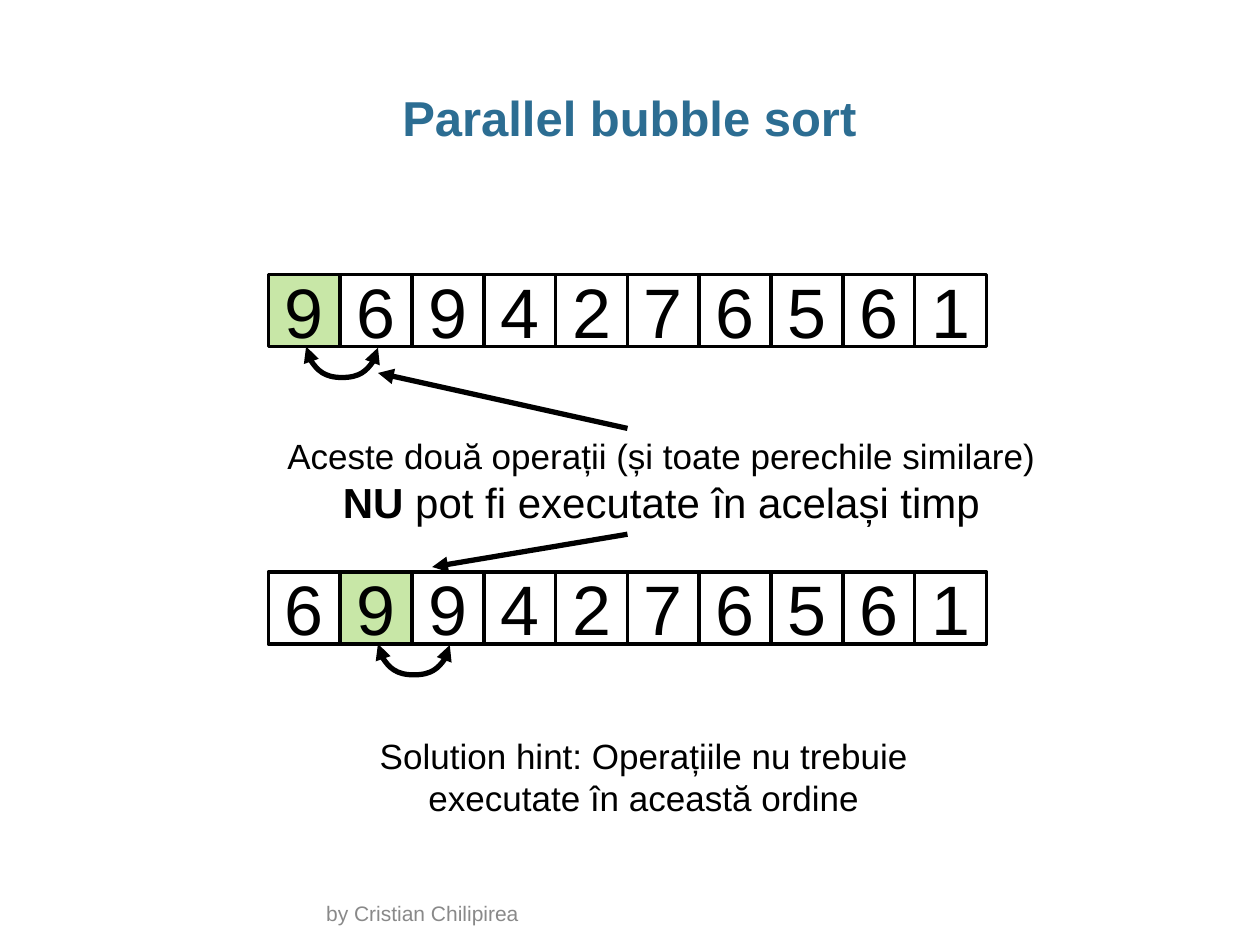
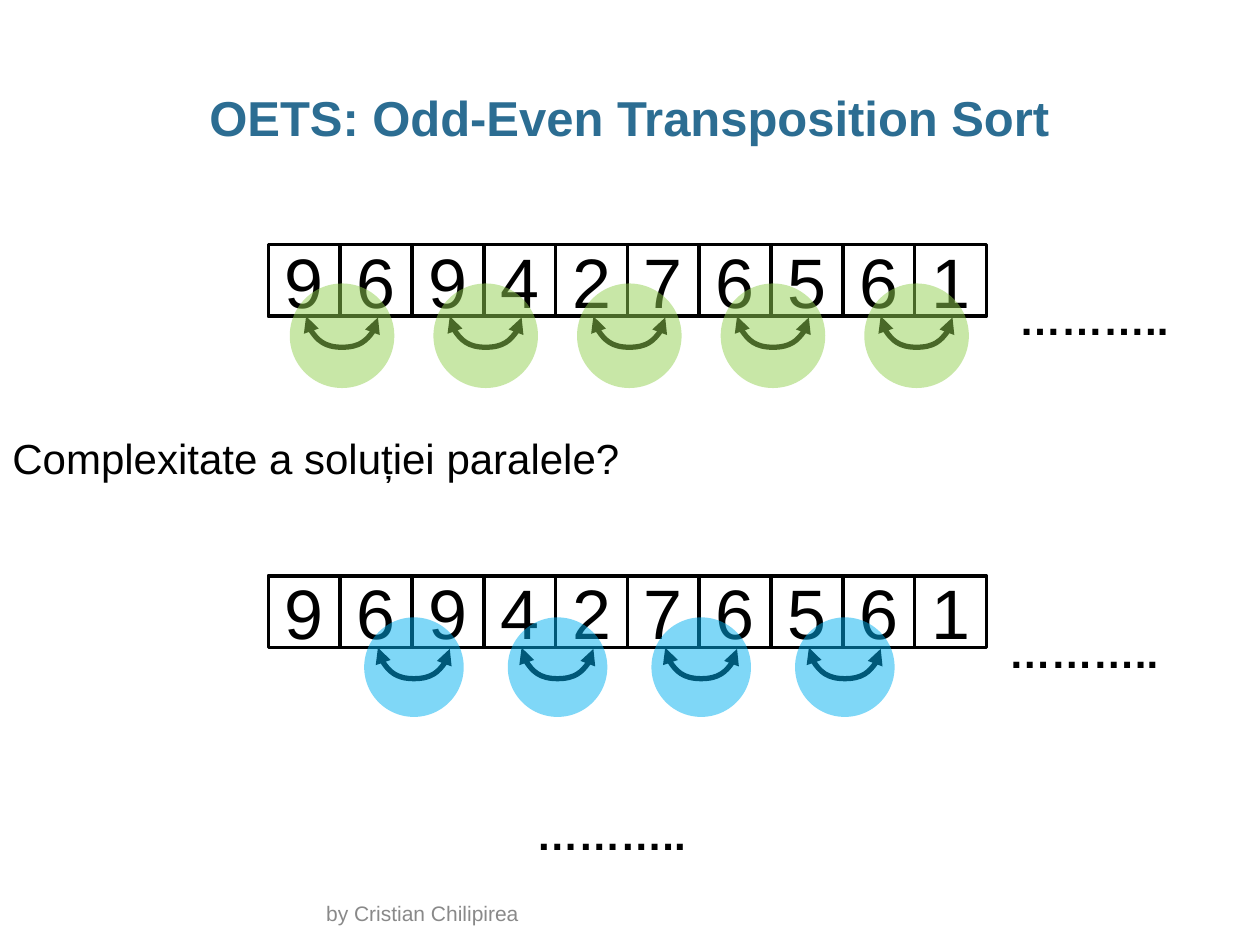
from pptx import Presentation
from pptx.dml.color import RGBColor
from pptx.enum.shapes import MSO_CONNECTOR, MSO_SHAPE
from pptx.enum.text import MSO_ANCHOR, MSO_AUTO_SIZE, PP_ALIGN
from pptx.oxml.ns import qn
from pptx.util import Pt
from lxml.etree import SubElement

PX = 9144  # EMU; 100 px to the inch
FONT = "Arial"
BLACK = RGBColor(0x00, 0x00, 0x00)
GREY = RGBColor(0x89, 0x89, 0x89)
TITLE_BLUE = RGBColor(0x2C, 0x6D, 0x92)
GREEN = RGBColor(0x92, 0xD0, 0x50)
SKY = RGBColor(0x00, 0xB0, 0xF0)

FOOTER = "by Cristian Chilipirea"
CELL, ROW_LEFT = 57, 213
SWAP_DEPTH = 25
DOTS = [("………..", 24, True)]

# Texts: box, runs (text, size, bold), alignment
# Rows: top, digits, highlighted cell, first cells of the swapped pairs,
#       colour and diameter of the circles over the swaps
SLIDES = [
    {
        "title": "Parallel bubble sort",
        "rows": [
            (218, "9694276561", 0, [0], None, 0),
            (454, "6994276561", 1, [1], None, 0),
        ],
        "pointers": [(498, 340, 300, 296), (498, 424, 343, 450)],
        "texts": [
            ((242, 578, 538, 77),
             [("Solution hint: Operațiile nu trebuie executate în această ordine", 20, False)],
             PP_ALIGN.CENTER),
            ((204, 340, 642, 84),
             [("Aceste două operații (și toate perechile similare) ", 20, False),
              ("NU ", 24, True),
              ("pot fi executate în același timp", 24, False)],
             PP_ALIGN.CENTER),
        ],
    },
    {
        "title": "OETS: Odd-Even Transposition Sort",
        "rows": [
            (194, "9694276561", None, range(0, 10, 2), GREEN, 83),
            (457, "9694276561", None, range(1, 9, 2), SKY, 79),
        ],
        "pointers": [],
        "texts": [
            ((799, 228, 140, 50), DOTS, PP_ALIGN.LEFT),
            ((791, 492, 140, 50), DOTS, PP_ALIGN.LEFT),
            ((416, 637, 140, 50), DOTS, PP_ALIGN.LEFT),
            ((0, 338, 507, 91), [("Complexitate a soluției paralele?", 24, False)],
             PP_ALIGN.LEFT),
        ],
    },
]


def emu(*lengths):
    return [length * PX for length in lengths]


def style_run(r, size, color=BLACK, bold=False):
    r.font.name = FONT
    r.font.size = Pt(size)
    r.font.bold = bold
    r.font.color.rgb = color


def add_text(slide, box, runs, align=PP_ALIGN.LEFT, color=BLACK, anchor=MSO_ANCHOR.TOP):
    tf = slide.shapes.add_textbox(*emu(*box)).text_frame
    tf.word_wrap = True
    tf.vertical_anchor = anchor
    p = tf.paragraphs[0]
    p.alignment = align
    for text, size, bold in runs:
        r = p.add_run()
        r.text = text
        style_run(r, size, color, bold)


def add_title(slide, text):
    sp = slide.shapes.title
    sp.left, sp.top, sp.width, sp.height = emu(34, 68, 931, 50)
    tf = sp.text_frame
    tf.text = text
    tf.auto_size = MSO_AUTO_SIZE.NONE
    tf.vertical_anchor = MSO_ANCHOR.TOP
    tf.margin_left = tf.margin_right = 0
    tf.margin_top, tf.margin_bottom = emu(5, 5)
    p = tf.paragraphs[0]
    p.alignment = PP_ALIGN.CENTER
    p.line_spacing = 0.95
    style_run(p.runs[0], 28, TITLE_BLUE, True)


def fill_half(sp, color):
    """Fill a shape with a half-transparent colour."""
    sp.fill.solid()
    sp.fill.fore_color.rgb = color
    clr = sp._element.spPr.find(qn("a:solidFill")).find(qn("a:srgbClr"))
    SubElement(clr, qn("a:alpha"), val="50000")


def add_cell(slide, x, y, digit, highlighted):
    sp = slide.shapes.add_shape(MSO_SHAPE.RECTANGLE, *emu(x, y, CELL, CELL))
    sp.shadow.inherit = False
    sp.line.color.rgb = BLACK
    sp.line.width = Pt(2)
    if highlighted:
        fill_half(sp, GREEN)
    else:
        sp.fill.background()
    tf = sp.text_frame
    tf.text = digit
    tf.vertical_anchor = MSO_ANCHOR.MIDDLE
    p = tf.paragraphs[0]
    p.alignment = PP_ALIGN.CENTER
    style_run(p.runs[0], 40)


def add_arrow(slide, kind, ends, heads):
    cxn = slide.shapes.add_connector(kind, *emu(*ends))
    cxn.line.color.rgb = BLACK
    cxn.line.width = Pt(3)
    spPr = cxn._element.spPr
    for head in heads:
        SubElement(spPr.find(qn("a:ln")), qn(head), type="triangle")
    SubElement(spPr, qn("a:effectLst"))
    return spPr


def add_swap(slide, x, y):
    """Hang a two-headed arc from (x, y) to the middle of the next cell."""
    left, top = x + CELL // 2, y - CELL // 2
    spPr = add_arrow(slide, MSO_CONNECTOR.CURVE, (left, top, left + 1, top + CELL),
                     ("a:headEnd", "a:tailEnd"))
    xfrm = spPr.find(qn("a:xfrm"))
    xfrm.set("rot", "16200000")
    xfrm.set("flipH", "1")
    geom = spPr.find(qn("a:prstGeom"))
    guides = geom.find(qn("a:avLst"))
    if guides is None:
        guides = SubElement(geom, qn("a:avLst"))
    SubElement(guides, qn("a:gd"), name="adj1", fmla=f"val {SWAP_DEPTH * 100000}")


def add_circle(slide, center_x, center_y, size, color):
    box = center_x - size // 2, center_y - size // 2, size, size
    sp = slide.shapes.add_shape(MSO_SHAPE.OVAL, *emu(*box))
    sp.shadow.inherit = False
    sp.line.fill.background()
    fill_half(sp, color)


def add_row(slide, top, digits, highlighted, pairs, color, size):
    for i, digit in enumerate(digits):
        add_cell(slide, ROW_LEFT + i * CELL, top, digit, i == highlighted)
    bottom = top + CELL
    for i in pairs:
        add_swap(slide, ROW_LEFT + i * CELL + 30, bottom)
    if color:
        for i in pairs:
            add_circle(slide, ROW_LEFT + (i + 1) * CELL + 1, bottom + 15, size, color)


def main():
    prs = Presentation()
    prs.slide_width, prs.slide_height = emu(1000, 750)
    for content in SLIDES:
        slide = prs.slides.add_slide(prs.slide_layouts[5])
        add_title(slide, content["title"])
        add_text(slide, (249, 716, 502, 24), [(FOOTER, 12, False)],
                 color=GREY, anchor=MSO_ANCHOR.BOTTOM)
        for row in content["rows"]:
            add_row(slide, *row)
        for ends in content["pointers"]:
            add_arrow(slide, MSO_CONNECTOR.STRAIGHT, ends, ("a:tailEnd",))
        for box, runs, align in content["texts"]:
            add_text(slide, box, runs, align)
    prs.save("out.pptx")


if __name__ == "__main__":
    main()
